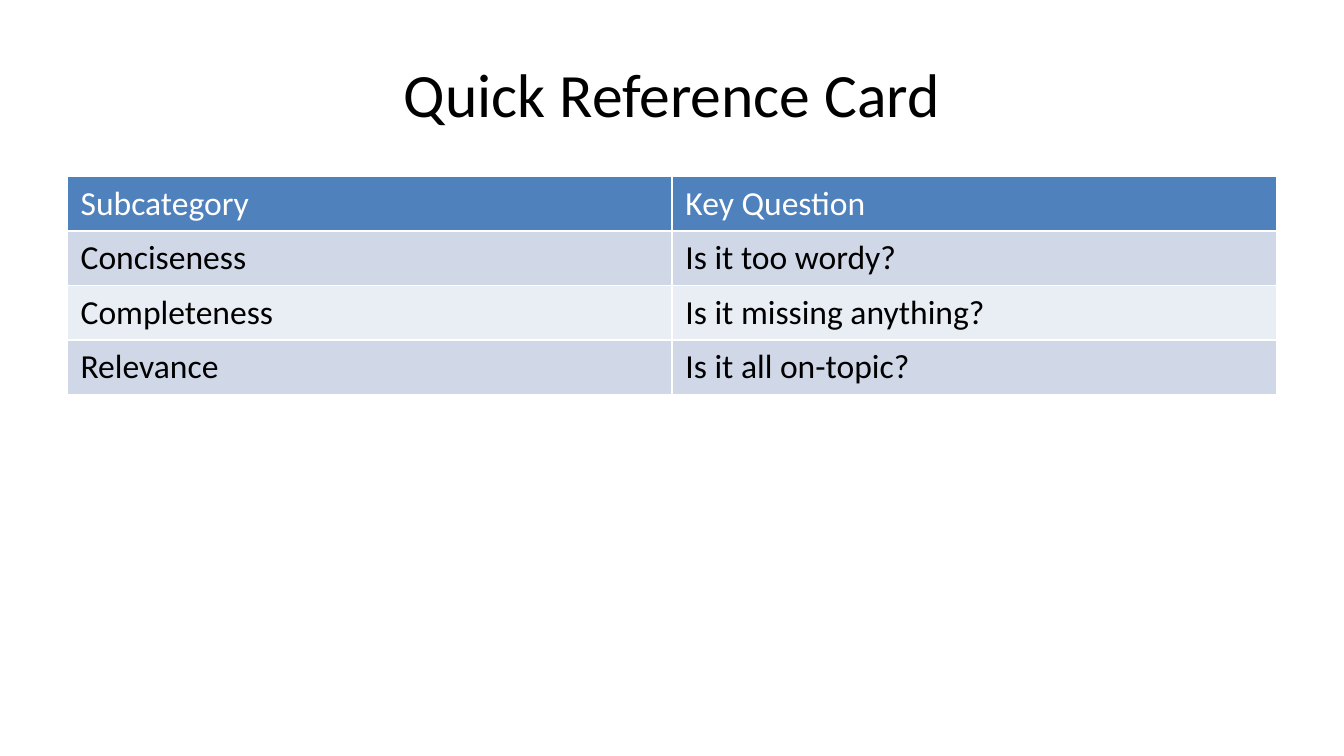
from pptx import Presentation
from pptx.dml.color import RGBColor
from pptx.enum import text
from pptx.util import Pt


def color(value):
    return RGBColor.from_string(value)


def set_font(paragraph, size, value):
    paragraph.font.name = "Calibri"
    paragraph.font.size = Pt(size)
    paragraph.font.bold = False
    paragraph.font.color.rgb = color(value)


presentation = Presentation()
presentation.slide_width = Pt(720)
presentation.slide_height = Pt(405)
slide = presentation.slides.add_slide(presentation.slide_layouts[5])

title = slide.shapes.title
title.left, title.top, title.width, title.height = Pt(36), Pt(16.2), Pt(648), Pt(67.5)
title.text_frame.text = "Quick Reference Card"
title.text_frame.vertical_anchor = text.MSO_ANCHOR.MIDDLE
title_paragraph = title.text_frame.paragraphs[0]
title_paragraph.alignment = text.PP_ALIGN.CENTER
set_font(title_paragraph, 33, "000000")

questions = [
    ("Subcategory", "Key Question"),
    ("Conciseness", "Is it too wordy?"),
    ("Completeness", "Is it missing anything?"),
    ("Relevance", "Is it all on-topic?"),
]
row_height = 29.2
table = slide.shapes.add_table(
    len(questions), 2, Pt(36), Pt(94.5), Pt(648), Pt(row_height * len(questions))
).table

for row_index, row in enumerate(questions):
    if row_index == 0:
        fill, font_color = "4F81BD", "FFFFFF"
    else:
        fill, font_color = ("D0D8E8" if row_index % 2 else "E9EDF4"), "000000"
    for column_index, wording in enumerate(row):
        cell = table.cell(row_index, column_index)
        cell.text = wording
        cell.fill.solid()
        cell.fill.fore_color.rgb = color(fill)
        set_font(cell.text_frame.paragraphs[0], 18, font_color)

presentation.save("out.pptx")
